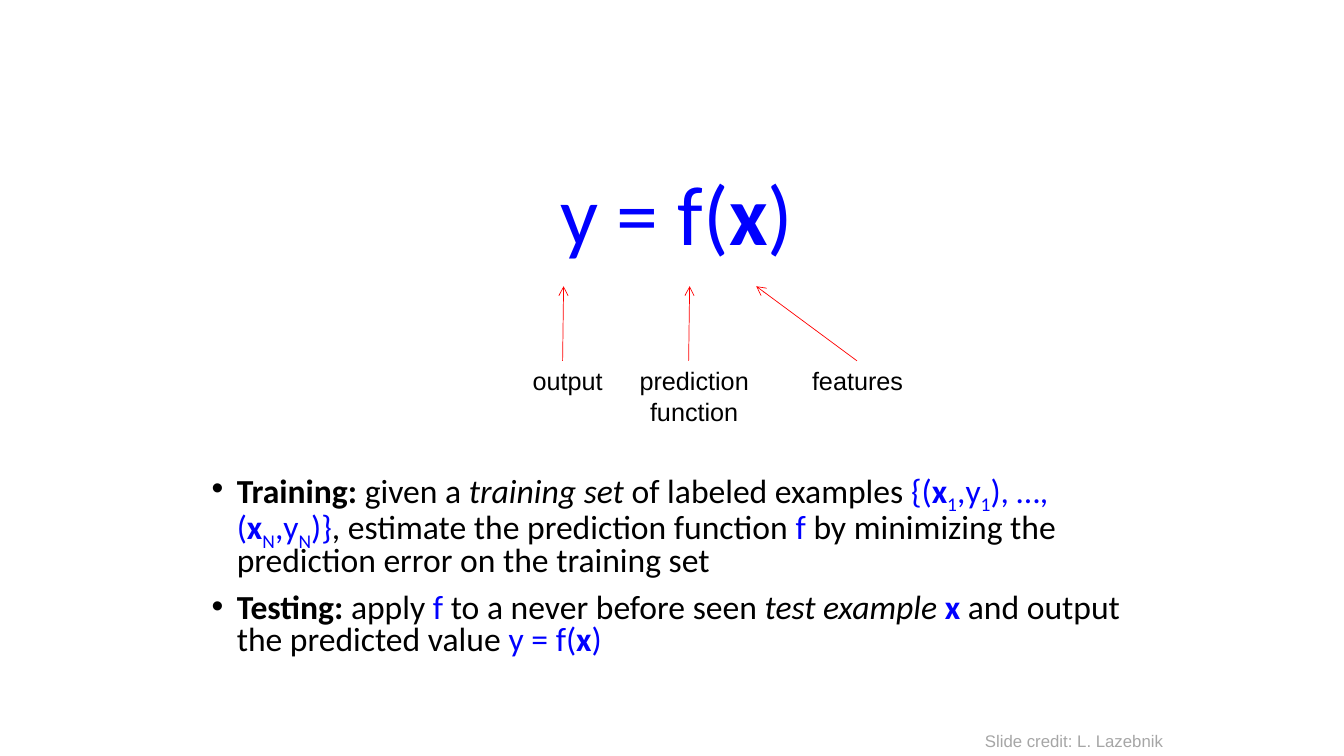
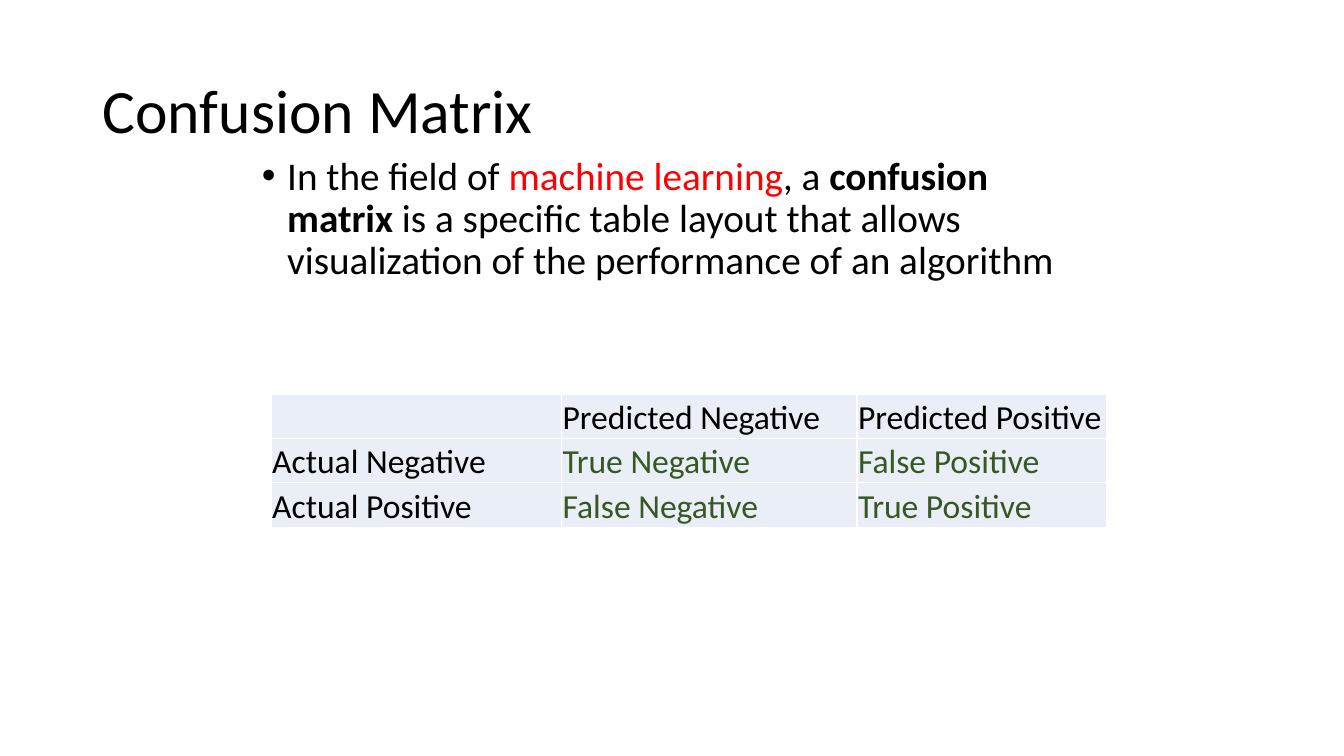
"""Build two slides: the prediction function and the confusion matrix."""
from dataclasses import dataclass

from lxml.etree import SubElement
from pptx import Presentation
from pptx.dml.color import RGBColor as RGB
from pptx.enum.shapes import MSO_CONNECTOR as CONN
from pptx.enum.text import MSO_ANCHOR as ANCHOR, PP_ALIGN as ALIGN
from pptx.oxml.ns import qn
from pptx.util import Inches, Pt


@dataclass(frozen=True)
class Theme:
    black: str = "000000"
    blue: str = "0000FF"
    red: str = "FF0000"
    green: str = "385723"
    grey: str = "A6A6A6"
    cell: str = "EAEFF7"
    white: str = "FFFFFF"
    body_font: str = "Calibri"
    label_font: str = "Arial"
    formula: int = 60
    title: int = 44
    lead: int = 28
    body: int = 24
    label: int = 18
    credit: int = 12


T = Theme()


def write(p, text, size=T.body, color=T.black, font=T.body_font,
          bold=False, italic=False, sub=False):
    r = p.add_run()
    r.text = text
    f = r.font
    f.name, f.size, f.bold, f.italic = font, Pt(size), bold, italic
    f.color.rgb = RGB.from_string(color)
    if sub:
        r.font._element.set("baseline", "-25000")


def add_box(s, left, top, width, height, paras, align=ALIGN.LEFT, anchor=ANCHOR.TOP,
            wrap=True, spacing=None, bullet=False, **fmt):
    tf = s.shapes.add_textbox(*map(Inches, (left, top, width, height))).text_frame
    tf.word_wrap = wrap
    tf.vertical_anchor = anchor
    for i, runs in enumerate(paras):
        p = tf.add_paragraph() if i else tf.paragraphs[0]
        p.alignment = align
        if spacing:
            p.line_spacing = spacing
        if i:
            p.space_before = Pt(10)
        if bullet:
            pPr = p._p.get_or_add_pPr()
            pPr.set("marL", str(Inches(0.25)))
            pPr.set("indent", str(Inches(-0.25)))
            SubElement(pPr, qn("a:buFont"), typeface=T.label_font)
            SubElement(pPr, qn("a:buChar"), char="•")
        for text, extra in runs:
            write(p, text, **{**fmt, **extra})


prs = Presentation()
prs.slide_width, prs.slide_height = Inches(13.33), Inches(7.5)
blank = prs.slide_layouts[6]

plain = {}
bold = {"bold": True}
italic = {"italic": True}
blue = {"color": T.blue}
blue_bold = {**blue, **bold}
blue_sub = {**blue, "sub": True}

s = prs.slides.add_slide(blank)
formula = [("y = f(", blue), ("x", blue_bold), (")", blue)]
add_box(s, 2, 1.75, 9.42, 1, [formula], align=ALIGN.CENTER, spacing=0.8, size=T.formula)

training = [
    ("Training: ", bold), ("given a ", plain), ("training set ", italic),
    ("of labeled examples ", plain), ("{(", blue), ("x", blue_bold), ("1", blue_sub),
    (",y", blue), ("1", blue_sub), ("), …, (", blue), ("x", blue_bold), ("N", blue_sub),
    (",y", blue), ("N", blue_sub), (")}", blue), (", estimate the prediction function ", plain),
    ("f ", blue), ("by minimizing the prediction error on the training set", plain),
]
testing = [
    ("Testing:", bold), (" apply ", plain), ("f", blue),
    (" to a never before seen ", plain), ("test example ", italic), ("x", blue_bold),
    (" and output the predicted value ", plain), *formula,
]
add_box(s, 2, 4.65, 9.42, 2.05, [training, testing], spacing=0.8, bullet=True)

for x1, x2 in [(5.58, 5.59), (6.83, 6.84), (8.5, 7.5)]:
    line = s.shapes.add_connector(
        CONN.STRAIGHT, Inches(x1), Inches(3.58), Inches(x2), Inches(2.84))
    line.line.color.rgb = RGB.from_string(T.red)
    line.line.width = Pt(0.5)
    SubElement(line.line._get_or_add_ln(), qn("a:tailEnd"), type="arrow")
    SubElement(line._element.spPr, qn("a:effectLst"))

for text, left, width in [("output", 5.18, 0.9), ("prediction function", 5.85, 2.07),
                          ("features", 7.68, 1.65)]:
    add_box(s, left, 3.58, width, 0.4, [[(text, plain)]], align=ALIGN.CENTER,
            wrap=text != "output", size=T.label, font=T.label_font)
add_box(s, 9.67, 7.2, 1.98, 0.3, [[("Slide credit: L. Lazebnik", plain)]], wrap=False,
        size=T.credit, font=T.label_font, color=T.grey)

s = prs.slides.add_slide(blank)
add_box(s, 0.92, 0.4, 11.5, 1.45, [[("Confusion Matrix", plain)]],
        anchor=ANCHOR.MIDDLE, spacing=0.9, size=T.title)
definition = [
    ("In the field of ", plain), ("machine learning", {"color": T.red}), (", a ", plain),
    ("confusion matrix", bold),
    (" is a specific table layout that allows visualization of the performance of an algorithm",
     plain),
]
add_box(s, 2.5, 1.5, 8.41, 1.5, [definition], spacing=0.9, bullet=True, size=T.lead)

rows = [
    ["", "Predicted Negative", "Predicted Positive"],
    ["Actual Negative", "True Negative", "False Positive"],
    ["Actual Positive", "False Negative", "True Positive"],
]
table = s.shapes.add_table(
    3, 3, Inches(2.69), Inches(3.91), Inches(8.29), Inches(1.32)).table
for col, width in zip(table.columns, (2.88, 2.93, 2.48)):
    col.width = Inches(width)
for i, row in enumerate(rows):
    table.rows[i].height = Inches(0.44)
    for j, text in enumerate(row):
        cell = table.cell(i, j)
        cell.vertical_anchor = ANCHOR.BOTTOM
        cell.margin_left = cell.margin_right = cell.margin_top = Inches(0.01)
        cell.margin_bottom = 0
        tcPr = cell._tc.get_or_add_tcPr()
        for side in ("lnL", "lnR", "lnT", "lnB"):
            ln = SubElement(tcPr, qn(f"a:{side}"), w=str(Pt(1)))
            SubElement(SubElement(ln, qn("a:solidFill")), qn("a:srgbClr"), val=T.white)
        cell.fill.solid()
        cell.fill.fore_color.rgb = RGB.from_string(T.cell)
        if text:
            write(cell.text_frame.paragraphs[0], text,
                  color=T.green if i and j else T.black)

prs.save("out.pptx")
